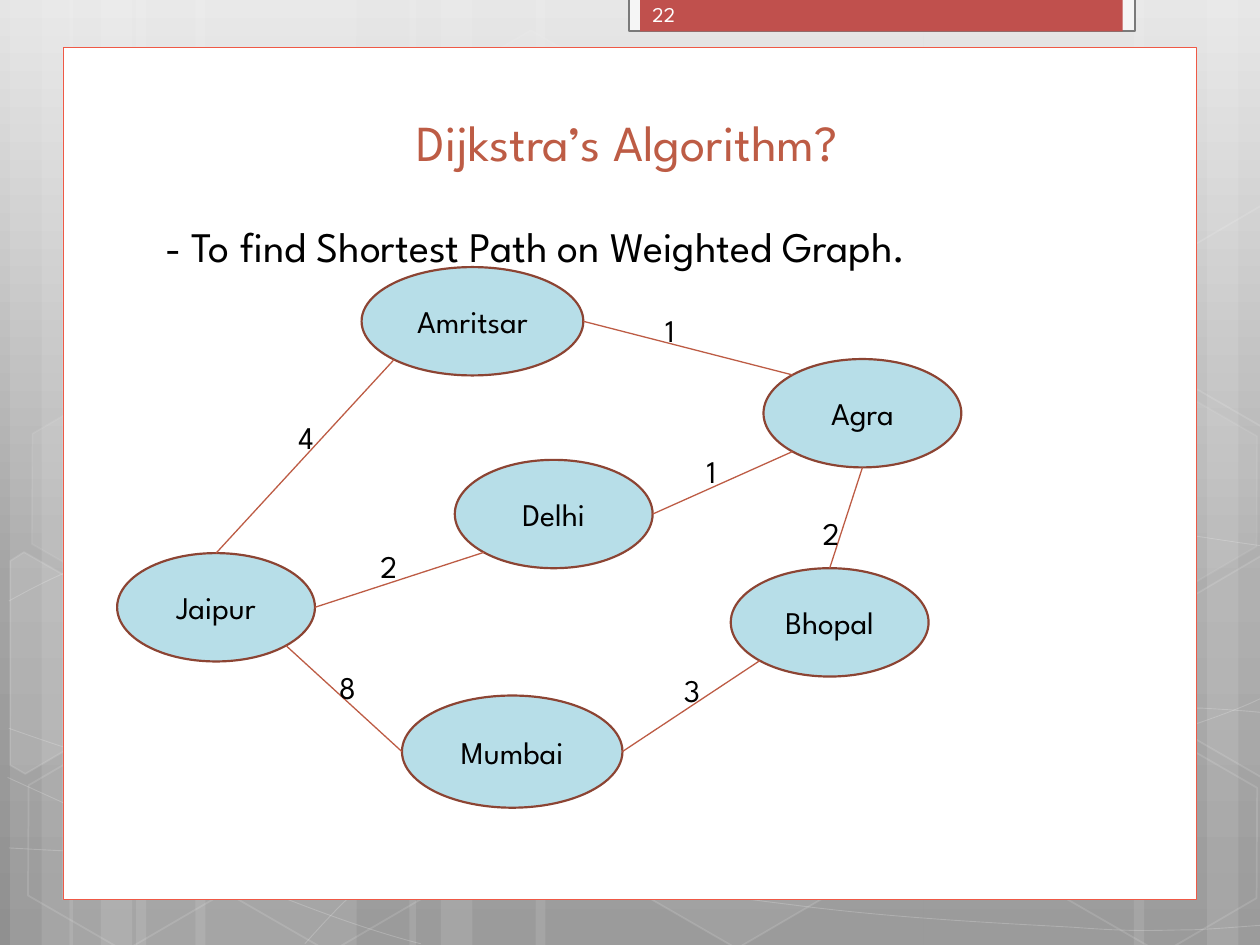
from copy import deepcopy
from dataclasses import dataclass
from math import cos, radians, sin

from lxml import etree
from pptx import Presentation
from pptx.dml.color import RGBColor
from pptx.enum.shapes import MSO_CONNECTOR, MSO_SHAPE
from pptx.enum.text import MSO_ANCHOR, MSO_AUTO_SIZE, PP_ALIGN
from pptx.oxml.ns import qn
from pptx.util import Inches, Pt

RECT, OVAL, HEX = MSO_SHAPE.RECTANGLE, MSO_SHAPE.OVAL, MSO_SHAPE.HEXAGON
STRAIGHT = MSO_CONNECTOR.STRAIGHT
LEFT, CENTER = PP_ALIGN.LEFT, PP_ALIGN.CENTER
TOP, MIDDLE, BOTTOM = MSO_ANCHOR.TOP, MSO_ANCHOR.MIDDLE, MSO_ANCHOR.BOTTOM
GROW = MSO_AUTO_SIZE.SHAPE_TO_FIT_TEXT
TILT = 30


@dataclass(frozen=True)
class Theme:
    """Hold the colours, font and type sizes."""
    font: str = "League Spartan"
    back: tuple = ((0, "E5E5E5"), (0.62, "A4A4A4"), (1, "909090"))
    white: str = "FFFFFF"
    black: str = "000000"
    frame: str = "EF5946"
    tab: str = "F5F5F5"
    rim: str = "7A7A7A"
    red: str = "C0504D"
    rust: str = "BD5C45"
    page: str = "FEFEFE"
    node: str = "B7DEE8"
    edge: str = "8C4433"
    title: float = 28.8
    body: float = 24
    label: float = 18
    small: float = 12


THEME = Theme()

BARS = ((1.08, 1.75), (0.08, 0.5), (0.33, 0.83), (1.55, 1.75), (0.55, 0.5), (0.8, 0.83),
        (7.33, 1.75), (9.58, 0.5), (9, 0.83), (4.25, 3.08), (3.25, 0.5), (3.5, 0.83))

CURVES = (
    ((0.07, 6.73), (0.61, 6.76), (1.15, 6.79), (1.9, 6.78), (2.65, 6.77), (3.58, 6.75),
     (4.58, 6.65), (5.58, 6.55), (7, 6.36), (7.92, 6.17), (8.83, 5.98), (9.77, 5.68),
     (10.07, 5.51)),
    ((0.07, 4.77), (0.36, 4.61), (0.65, 4.46), (1.21, 4.31), (1.78, 4.16), (2.59, 3.94),
     (3.47, 3.87), (4.36, 3.8), (5.44, 3.79), (6.54, 3.87), (7.64, 3.95), (9.47, 4.26),
     (10.07, 4.34)),
    ((0.06, 6.17), (1.27, 6.72), (2.47, 7.27), (3.34, 7.49)),
    ((0.07, 5.78), (0.38, 5.89), (0.7, 6), (1.28, 6.16), (1.86, 6.31), (2.73, 6.56),
     (3.57, 6.73), (4.4, 6.9), (5.45, 7.08), (6.28, 7.18), (7.11, 7.29), (8, 7.33),
     (8.53, 7.36), (9.05, 7.4), (9.19, 7.38), (9.45, 7.38), (9.71, 7.37), (9.89, 7.35),
     (10.07, 7.34)),
    ((2.42, 7.49), (2.6, 7.29), (2.78, 7.09), (3.02, 6.91), (3.26, 6.73), (3.6, 6.53),
     (3.88, 6.39), (4.16, 6.25), (4.33, 6.19), (4.7, 6.09), (5.06, 5.99), (5.73, 5.85),
     (6.08, 5.78), (6.44, 5.71), (6.49, 5.71), (6.8, 5.69), (7.11, 5.66), (7.6, 5.63),
     (7.94, 5.62), (8.29, 5.61), (8.86, 5.62), (9.53, 5.62), (9.71, 5.63), (9.88, 5.64),
     (10.06, 5.66)),
)

HEXES = ((3.34, 0.36, 4, 8), (4.97, 5.89, 6, 12), (0.11, 5.91, 0, 12), (0.14, 3.12, 7, 8),
         (1.74, 5.92, 0, 12), (7.53, 4.53, 10, 12), (8.34, 5.93, 0, 12), (8.34, 3.14, 7, 8))

SHARDS = (
    ((0.36, 5.35), 10,
     ((0.08, 4.45), (0.19, 4.38), (0.96, 4.82), (0.95, 5.7), (0.2, 6.14), (0.08, 6.07))),
    ((9.85, 5.2), 4,
     ((9.26, 4.85), (10.01, 4.41), (10.09, 4.46), (10.09, 6.13), (10.02, 6.17), (9.26, 5.73))),
    ((9.85, 2.41), 0,
     ((9.26, 2.07), (10.01, 1.63), (10.1, 1.68), (10.09, 3.35), (10.02, 3.39), (9.26, 2.95))),
)

TOWNS = {
    "Amritsar": (2.87, 2.12, 1.76, 0.86), "Delhi": (3.61, 3.65, 1.57, 0.86),
    "Agra": (6.06, 2.85, 1.57, 0.86), "Bhopal": (5.8, 4.51, 1.57, 0.86),
    "Mumbai": (3.19, 5.52, 1.75, 0.89), "Jaipur": (0.93, 4.39, 1.57, 0.86),
}

ROADS = (
    ("Jaipur", 0, "Amritsar", 3, "4", 2.27, 3.27), ("Amritsar", 6, "Agra", 1, "1", 5.18, 2.42),
    ("Agra", 4, "Bhopal", 0, "2", 6.43, 4.03), ("Delhi", 3, "Jaipur", 6, "2", 2.92, 4.29),
    ("Delhi", 6, "Agra", 3, "1", 5.51, 3.54), ("Jaipur", 5, "Mumbai", 2, "8", 2.59, 5.25),
    ("Mumbai", 6, "Bhopal", 3, "3", 5.33, 5.28),
)


def put(item, **vals):
    """Set each named value on the item."""
    for name, val in vals.items():
        setattr(item, name, val)


def tint(fill, color, alpha=100):
    """Fill with a solid colour of the given opacity."""
    if not alpha:
        fill.background()
        return
    fill.solid()
    fill.fore_color.rgb = RGBColor.from_string(color)
    if alpha < 100:
        node = fill._xPr.find(".//" + qn("a:srgbClr"))
        etree.SubElement(node, qn("a:alpha"), val=str(alpha * 1000))


def paint(shape, fill, line=None, width=0, fade=100, glow=100):
    """Give the shape its fill and line, with no shadow."""
    shape.shadow.inherit = False
    tint(shape.fill, fill, fade)
    tint(shape.line.fill, line, glow if line else 0)
    if line:
        shape.line.width = Pt(width)
    return shape


def form(slide, kind, box, *look):
    """Add a painted preset shape."""
    return paint(slide.shapes.add_shape(kind, *map(Inches, box)), *look)


def trace(slide, points, closed, *look):
    """Add a painted outline through the points."""
    path = [(Inches(x), Inches(y)) for x, y in points]
    pen = slide.shapes.build_freeform(*path[0])
    pen.add_line_segments(path[1:], close=closed)
    return paint(pen.convert_to_shape(), *look)


def bend(shape):
    """Turn each three line segments into one cubic curve."""
    lines = list(shape._element.iter(qn("a:lnTo")))
    for i in range(0, len(lines), 3):
        curve = etree.Element(qn("a:cubicBezTo"))
        lines[i].addprevious(curve)
        for line in lines[i:i + 3]:
            curve.append(line[0])
            line.getparent().remove(line)


def level(points, hub):
    """Turn the points back by the tilt around the hub."""
    c, s = cos(radians(TILT)), sin(radians(TILT))
    gaps = [(x - hub[0], y - hub[1]) for x, y in points]
    return [(hub[0] + x * c + y * s, hub[1] + y * c - x * s) for x, y in gaps]


def write(shape, text, size, color, align=LEFT, anchor=MIDDLE, wrap=True):
    """Put one styled line of text in the shape."""
    frame = shape.text_frame
    put(frame, word_wrap=wrap, vertical_anchor=anchor)
    para = frame.paragraphs[0]
    para.alignment = align
    run = para.add_run()
    run.text = text
    put(run.font, name=THEME.font, size=Pt(size))
    run.font.color.rgb = RGBColor.from_string(color)
    return frame


def label(slide, box, *style):
    """Add a text box."""
    return write(slide.shapes.add_textbox(*map(Inches, box)), *style)


def site(box, spot):
    """Find one of eight points on an oval, from the top to the left."""
    x, y, w, h = box
    turn = radians(90 + 45 * spot)
    return Inches(x + w / 2 * (1 + cos(turn))), Inches(y + h / 2 * (1 - sin(turn)))


def road(slide, nodes, start, out, end, into):
    """Join two towns with a straight line."""
    line = slide.shapes.add_connector(
        STRAIGHT, *site(TOWNS[start], out), *site(TOWNS[end], into))
    tint(line.line.fill, THEME.rust)
    line.line.width = Pt(0.75)
    etree.SubElement(line._element.spPr, qn("a:effectLst"))
    joins = line._element.find(".//" + qn("p:cNvCxnSpPr"))
    for tag, town, spot in (("a:stCxn", start, out), ("a:endCxn", end, into)):
        etree.SubElement(joins, qn(tag), id=str(nodes[town].shape_id), idx=str(spot))


def backdrop(slide):
    """Draw the grey ground with its bars, curves and hexagons."""
    fill = slide.background.fill
    fill.gradient()
    fill.gradient_angle = 270
    stops = next(slide.element.iter(qn("a:gsLst")))
    stops.append(deepcopy(stops[0]))
    for stop, (place, color) in zip(fill.gradient_stops, THEME.back):
        stop.position = place
        stop.color.rgb = RGBColor.from_string(color)
    white = THEME.white
    for x, width in BARS:
        form(slide, RECT, (x, 0, width, 7.5), white, None, 0, 10)
    for knots in CURVES:
        bend(trace(slide, knots, False, white, white, 0.5, 0, 20))
    for x, y, fade, glow in HEXES:
        tile = form(slide, HEX, (x, y, 1.75, 1.52), white, white, 1, fade, glow)
        tile.rotation = TILT
        tile.adjustments[0] = 0.285
    for hub, fade, points in SHARDS:
        trace(slide, level(points, hub), True, white, white, 1, fade, 12).rotation = TILT


def panel(slide):
    """Draw the white panel, page tab and heading text."""
    form(slide, RECT, (0.5, 0.38, 9, 6.76), THEME.white, THEME.frame, 0.5)
    form(slide, RECT, (4.99, -0.02, 4.02, 0.27), THEME.tab, THEME.rim, 1.25)
    form(slide, RECT, (5.08, -0.02, 3.83, 0.27), THEME.red)
    label(slide, (1.14, 0.82, 7.68, 0.59), "Dijkstra’s Algorithm?",
          THEME.title, THEME.rust, CENTER, BOTTOM)
    body = label(slide, (1.14, -0.5, 7.41, 4.85), "- To find Shortest Path on Weighted Graph.",
                 THEME.body, THEME.black)
    put(body, margin_left=Inches(0.17), margin_top=Inches(0.1))
    label(slide, (5.08, -0.03, 1.46, 0.29), "22", THEME.small, THEME.page)


def graph(slide):
    """Draw the towns, the roads and their weights."""
    nodes = {}
    for town, box in TOWNS.items():
        nodes[town] = form(slide, OVAL, box, THEME.node, THEME.edge, 1.25)
        write(nodes[town], town, THEME.label, THEME.black, CENTER)
    for *ends, weight, x, y in ROADS:
        road(slide, nodes, *ends)
        frame = label(slide, (x, y, 0.32, 0.36), weight, THEME.label, THEME.black,
                      LEFT, TOP, False)
        frame.auto_size = GROW


def main():
    """Build and save the slide."""
    deck = Presentation()
    put(deck, slide_width=Inches(10), slide_height=Inches(7.5))
    slide = deck.slides.add_slide(deck.slide_layouts[6])
    for draw in (backdrop, panel, graph):
        draw(slide)
    deck.save("out.pptx")


if __name__ == "__main__":
    main()
